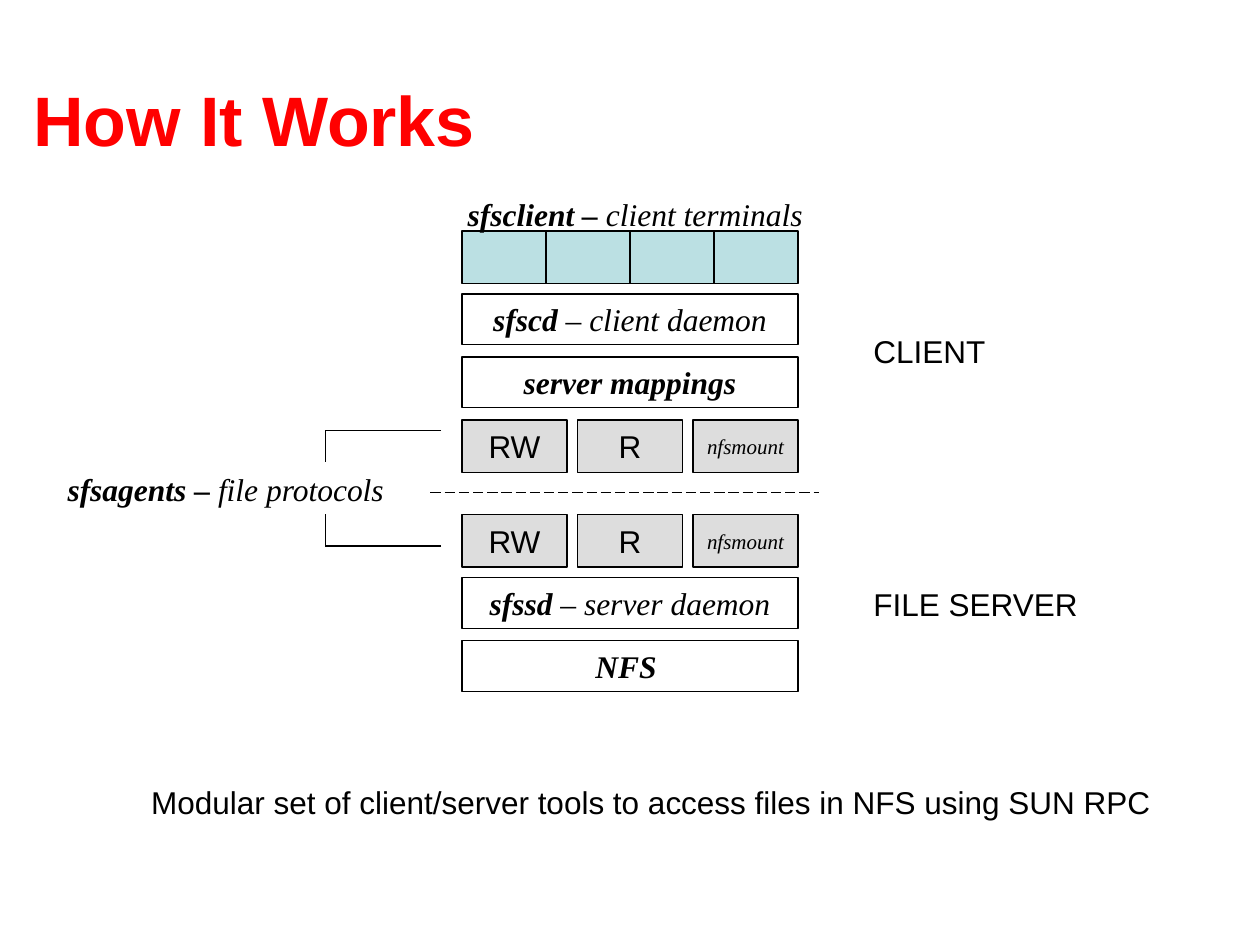
from lxml import etree
from pptx import Presentation
from pptx import util as u
from pptx.dml.color import RGBColor
from pptx.enum import dml, shapes, text
from pptx.oxml.ns import qn

BLACK = RGBColor(0x00, 0x00, 0x00)
RED = RGBColor(0xFF, 0x00, 0x00)
TEAL = RGBColor(0xBB, 0xE0, 0xE3)
GRAY = RGBColor(0xDD, 0xDD, 0xDD)
SANS, SERIF = "Arial", "Times New Roman"
LEFT, CENTER = text.PP_ALIGN.LEFT, text.PP_ALIGN.CENTER
STACK_LEFT, STACK_WIDTH = 264, 192
ROW_HEIGHT, CELL_HEIGHT = 29, 30

deck = Presentation()
deck.slide_width, deck.slide_height = u.Pt(720), u.Pt(540)
page = deck.slides.add_slide(deck.slide_layouts[6])


def add_box(left, top, width, height, fill=None, outlined=True):
    frame = [u.Pt(value) for value in (left, top, width, height)]
    if not outlined:
        return page.shapes.add_textbox(*frame)
    box = page.shapes.add_shape(shapes.MSO_SHAPE.RECTANGLE, *frame)
    box.shadow.inherit = False
    box.line.color.rgb = BLACK
    box.line.width = u.Pt(0.75)
    if fill is None:
        box.fill.background()
    else:
        box.fill.solid()
        box.fill.fore_color.rgb = fill
    return box


def write(box, bold, plain="", font=SERIF, size=18, color=BLACK, align=CENTER,
          anchor=text.MSO_ANCHOR.TOP, wrap=True):
    box.text_frame.word_wrap = wrap
    box.text_frame.vertical_anchor = anchor
    para = box.text_frame.paragraphs[0]
    para.alignment = align
    para.font.name = font
    para.font.size = u.Pt(size)
    para.font.color.rgb = color
    para.font.italic = font == SERIF
    for words, weight in ((bold, True), (plain, False)):
        if words:
            span = para.add_run()
            span.text = words
            span.font.bold = weight


title = add_box(12, 23, 690, 90, outlined=False)
write(title, "How It Works", font=SANS, size=40, color=RED, align=LEFT,
      anchor=text.MSO_ANCHOR.MIDDLE)

terminal_width = STACK_WIDTH / 4
for column in range(4):
    add_box(STACK_LEFT + column * terminal_width, 132, terminal_width, CELL_HEIGHT, TEAL)

for top, bold, plain in (
    (168, "sfscd", " – client daemon"),
    (204, "server mappings", ""),
    (330, "sfssd", " – server daemon"),
    (366, "NFS ", ""),
):
    write(add_box(STACK_LEFT, top, STACK_WIDTH, ROW_HEIGHT), bold, plain)

agents = (("RW", SANS, 18), ("R", SANS, 18), ("nfsmount", SERIF, 12))
for top in (240, 294):
    for column, (name, font, size) in enumerate(agents):
        agent = add_box(STACK_LEFT + column * 66, top, 60, CELL_HEIGHT, GRAY)
        write(agent, "", name, font, size, anchor=text.MSO_ANCHOR.MIDDLE, wrap=False)

for left, top, width, bold, plain, font, align in (
    (492, 186, 162, "", "CLIENT", SANS, LEFT),
    (492, 330.5, 162, "", "FILE SERVER", SANS, LEFT),
    (252, 108, 222, "sfsclient – ", "client terminals", SERIF, CENTER),
    (18, 265, 222, "sfsagents – ", "file protocols", SERIF, CENTER),
    (42, 444, 660, "", "Modular set of client/server tools to access files in NFS using SUN RPC",
     SANS, CENTER),
):
    label = add_box(left, top, width, ROW_HEIGHT, outlined=False)
    write(label, bold, plain, font, align=align)

for start_x, start_y, end_x, end_y, dashed in (
    (246, 281.5, 468, 281.5, True),
    (252, 246, 186, 246, False),
    (252, 312, 186, 312, False),
    (186, 246, 186, 264, False),
    (186, 294, 186, 312, False),
):
    rule = page.shapes.add_connector(
        shapes.MSO_CONNECTOR.STRAIGHT, u.Pt(start_x), u.Pt(start_y), u.Pt(end_x), u.Pt(end_y))
    rule.line.color.rgb = BLACK
    rule.line.width = u.Pt(0.75)
    if dashed:
        rule.line.dash_style = dml.MSO_LINE.LONG_DASH
    etree.SubElement(rule._element.spPr, qn("a:effectLst"))

deck.save("out.pptx")
